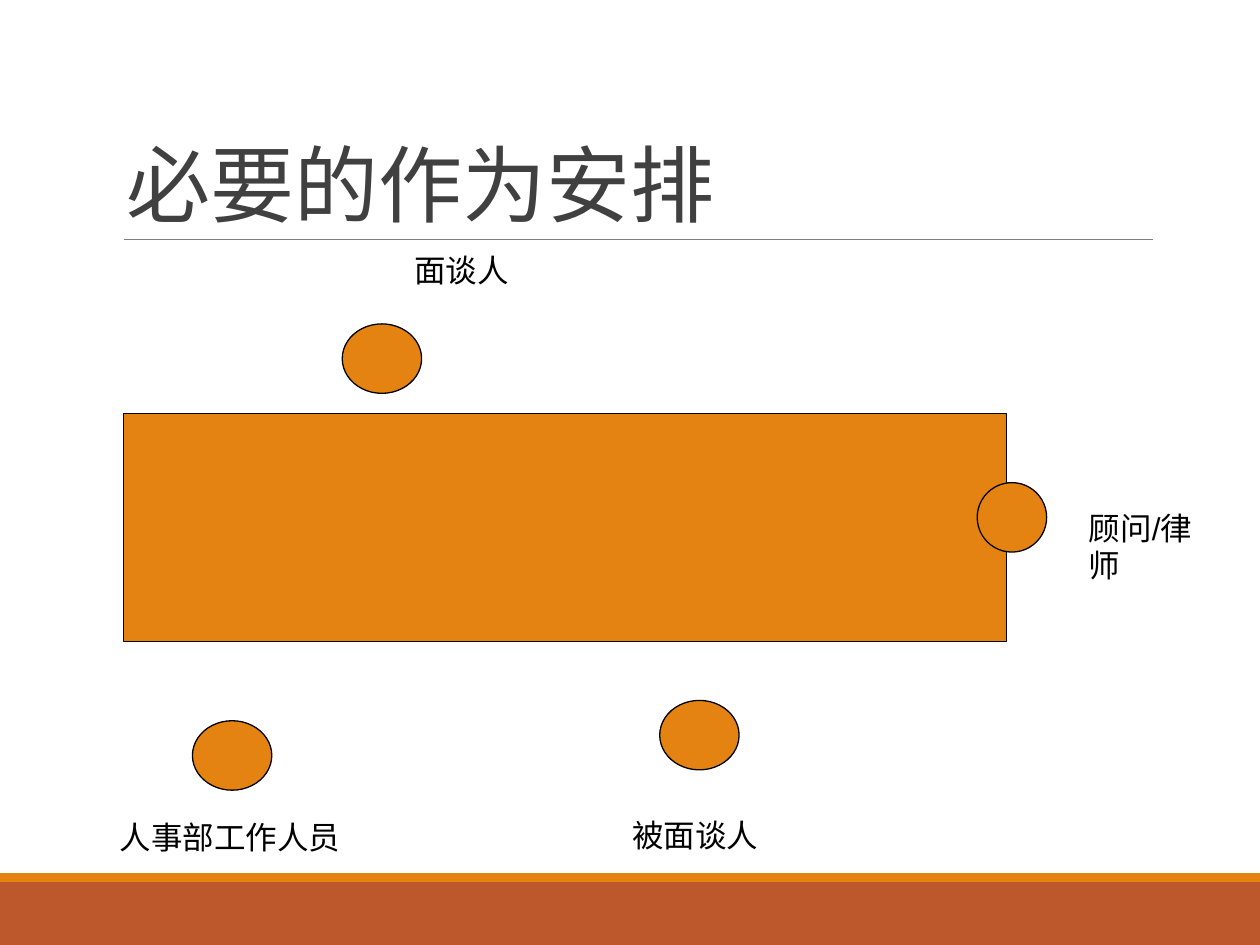
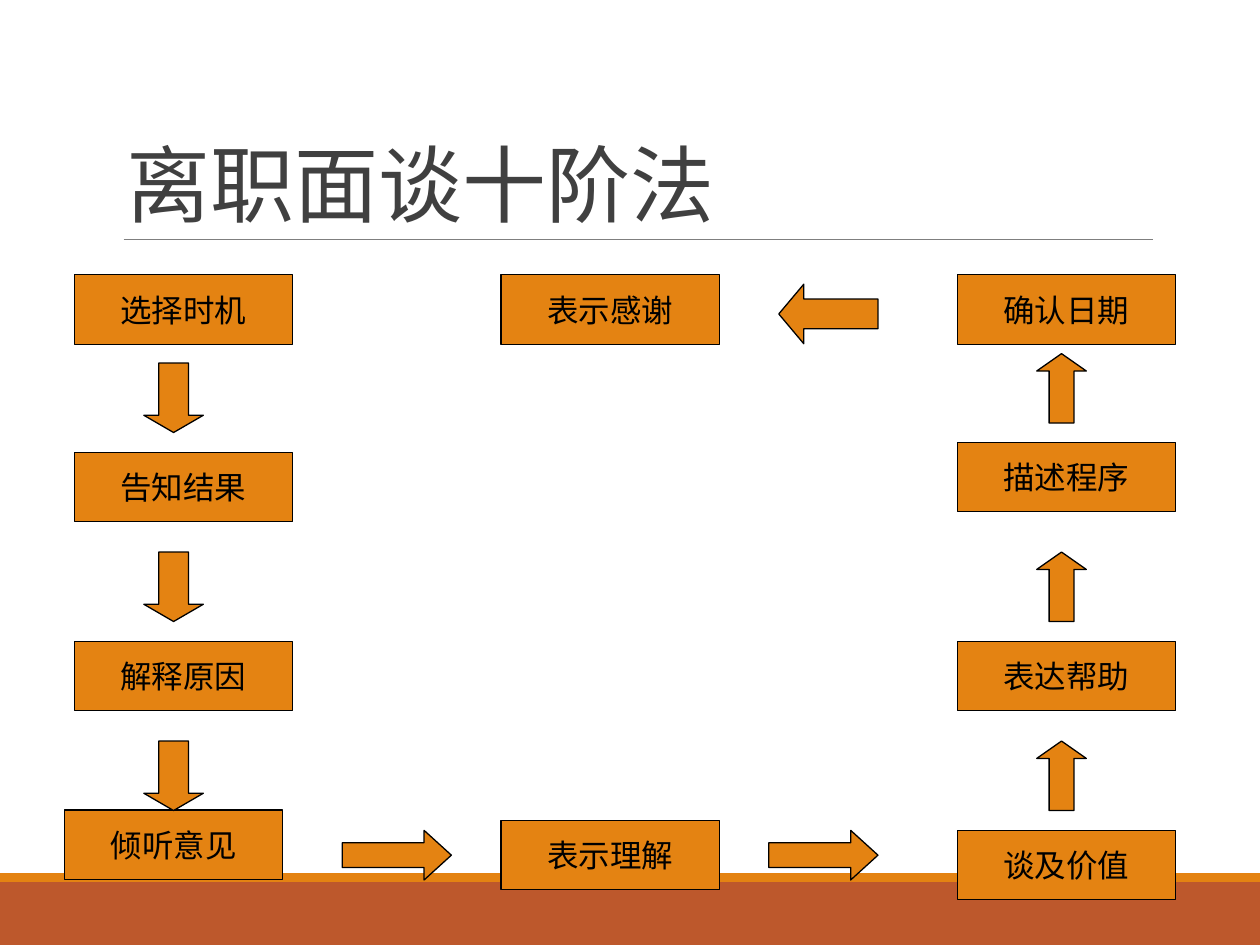
import dataclasses

import lxml.etree
import pptx
import pptx.dml.color
import pptx.enum.shapes
import pptx.enum.text
import pptx.oxml.ns
import pptx.util

Cm = pptx.util.Cm
Pt = pptx.util.Pt
Color = pptx.dml.color.RGBColor.from_string
Preset = pptx.enum.shapes.MSO_SHAPE
Align = pptx.enum.text.PP_ALIGN
Anchor = pptx.enum.text.MSO_ANCHOR


@dataclasses.dataclass(frozen=True)
class Theme:
    orange: str = "E48312"
    rust: str = "BD582C"
    rule: str = "7F7F7F"
    title: str = "404040"
    ink: str = "000000"
    title_font: str = "Calibri"
    body_font: str = "Arial"
    title_size: int = 48
    body_size: int = 18
    outline: float = 0.75
    rule_width: float = 0.5


theme = Theme()


def write(shape, text, font=theme.body_font, size=theme.body_size, color=theme.ink,
          align=Align.LEFT, anchor=Anchor.TOP, wrap=True, line_spacing=None):
    frame = shape.text_frame
    frame.text = text
    frame.word_wrap = wrap
    frame.auto_size = pptx.enum.text.MSO_AUTO_SIZE.NONE
    frame.vertical_anchor = anchor
    paragraph = frame.paragraphs[0]
    paragraph.alignment = align
    paragraph.line_spacing = line_spacing
    paragraph.font.name = font
    paragraph.font.size = Pt(size)
    paragraph.font.color.rgb = Color(color)


def draw(slide, preset, left, top, width, height, fill=theme.orange, outlined=True):
    """Add a flat preset shape, measured in centimetres."""
    shape = slide.shapes.add_shape(preset, Cm(left), Cm(top), Cm(width), Cm(height))
    shape.shadow.inherit = False
    shape.fill.solid()
    shape.fill.fore_color.rgb = Color(fill)
    if outlined:
        shape.line.color.rgb = Color(theme.ink)
        shape.line.width = Pt(theme.outline)
    else:
        shape.line.fill.background()
    return shape


presentation = pptx.Presentation()
presentation.slide_width = Cm(25.4)
presentation.slide_height = Cm(19.05)
layout = presentation.slide_layouts[5]

# Titles
slides = []
for title_text in ("必要的作为安排", "离职面谈十阶法"):
    slide = presentation.slides.add_slide(layout)
    title = slide.shapes.title
    title.left, title.top, title.width, title.height = Cm(2.29), Cm(0.79), Cm(20.95), Cm(4.04)
    write(title, title_text, font=theme.title_font, size=theme.title_size,
          color=theme.title, anchor=Anchor.BOTTOM, line_spacing=0.85)
    slides.append(slide)
seating_slide, steps_slide = slides

# Footer bands and title rule, moved to the layout that both slides share
footer_band = draw(seating_slide, Preset.RECTANGLE, 0, 17.78, 25.4, 1.27, theme.rust, outlined=False)
accent_band = draw(seating_slide, Preset.RECTANGLE, 0, 17.6, 25.4, 0.18, outlined=False)
title_rule = seating_slide.shapes.add_connector(
    pptx.enum.shapes.MSO_CONNECTOR.STRAIGHT, Cm(2.49), Cm(4.83), Cm(23.24), Cm(4.83))
title_rule.line.color.rgb = Color(theme.rule)
title_rule.line.width = Pt(theme.rule_width)
lxml.etree.SubElement(title_rule.element.spPr, pptx.oxml.ns.qn("a:effectLst"))
for shared in (footer_band, accent_band, title_rule):
    layout.shapes.element.append(shared.element)

# Seating plan: the table, the seats and who sits there
draw(seating_slide, Preset.RECTANGLE, 2.49, 8.33, 17.8, 4.6)
seats = [
    # seat left, top, width; label, left, top, width, height
    (6.9, 6.53, 1.6, "面谈人", 8.1, 4.93, 3.2, 1.02),
    (19.7, 9.73, 1.4, "顾问/律师", 21.7, 10.13, 3.2, 1.78),
    (3.88, 14.53, 1.6, "人事部工作人员", 2.16, 16.36, 6.32, 1.02),
    (13.3, 14.12, 1.6, "被面谈人", 12.5, 16.33, 4.11, 1.02),
]
for seat_left, seat_top, seat_width, person, *label_place in seats:
    draw(seating_slide, Preset.OVAL, seat_left, seat_top, seat_width, 1.4)
    label = seating_slide.shapes.add_textbox(*[Cm(length) for length in label_place])
    write(label, person)

# Ten steps: down the left, along the bottom, up the right, back to the middle
steps = [
    ("选择时机", 1.5, 5.54),
    ("告知结果", 1.5, 9.12),
    ("解释原因", 1.5, 12.93),
    ("倾听意见", 1.3, 16.33),
    ("表示理解", 10.1, 16.54),
    ("谈及价值", 19.3, 16.74),
    ("表达帮助", 19.3, 12.93),
    ("描述程序", 19.3, 8.92),
    ("确认日期", 19.3, 5.54),
    ("表示感谢", 10.1, 5.54),
]
for step, left, top in steps:
    box = draw(steps_slide, Preset.RECTANGLE, left, top, 4.4, 1.4)
    write(box, step, align=Align.CENTER, anchor=Anchor.MIDDLE, wrap=False)

arrow_groups = [
    # preset, width, height, head ratio, positions
    (Preset.DOWN_ARROW, 1.2, 1.4, 0.29, [(2.9, 7.32), (2.9, 11.13), (2.9, 14.94)]),
    (Preset.RIGHT_ARROW, 2.2, 1.0, 0.55, [(6.9, 16.74), (15.5, 16.74)]),
    (Preset.UP_ARROW, 1.0, 1.4, 0.35, [(20.9, 14.94), (20.9, 11.13), (20.9, 7.13)]),
    (Preset.LEFT_ARROW, 2.0, 1.2, 0.42, [(15.7, 5.73)]),
]
for preset, width, height, head_ratio, positions in arrow_groups:
    for left, top in positions:
        arrow = draw(steps_slide, preset, left, top, width, height)
        arrow.adjustments[1] = head_ratio

presentation.save("out.pptx")
